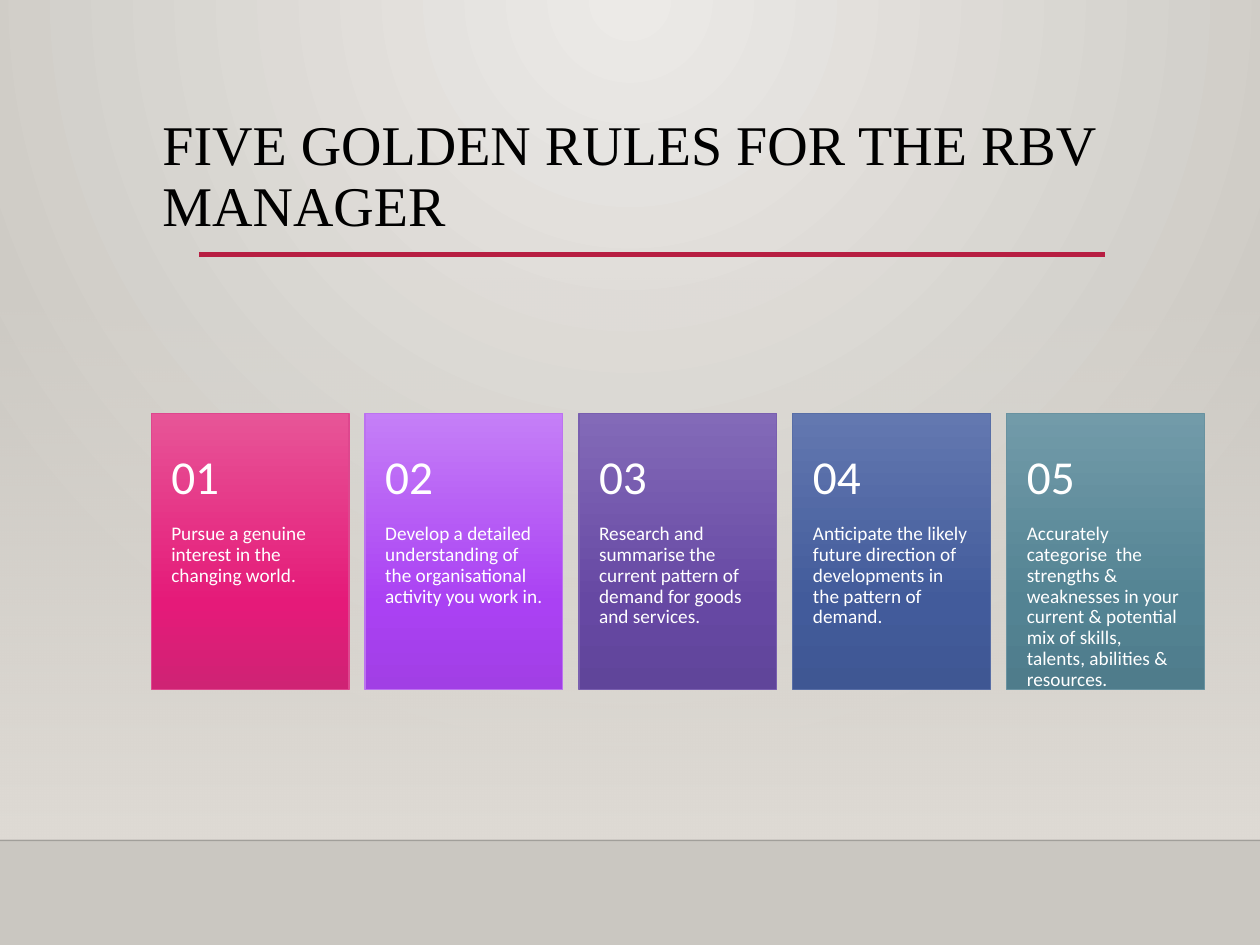
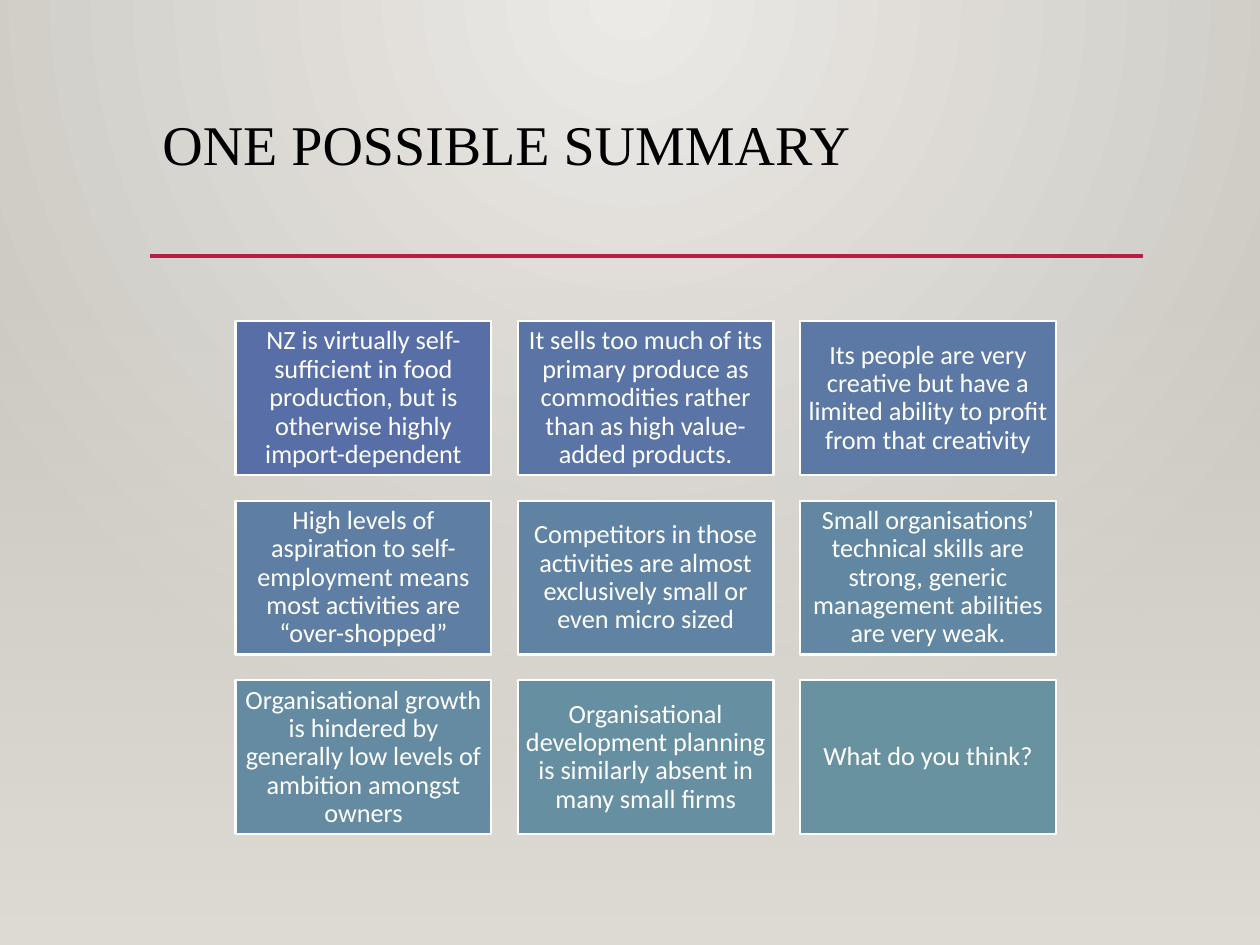
import dataclasses

import pptx
import pptx.dml.color
import pptx.enum.shapes
import pptx.enum.text
import pptx.oxml
import pptx.oxml.ns
import pptx.util
from pptx.util import Inches

ANCHOR = pptx.enum.text.MSO_ANCHOR
ALIGN = pptx.enum.text.PP_ALIGN


@dataclasses.dataclass(frozen=True)
class Theme:
    title_font: str = "Times New Roman"
    body_font: str = "Calibri"
    title_size: float = 32
    numeral_size: float = 27
    rule_size: float = 11
    tile_size: float = 15
    ink: str = "000000"
    white: str = "FFFFFF"
    accent: str = "B71E42"
    floor_line: str = "000001"
    glow: tuple = ((0, "ECEAE7", 100), (100, "CAC7C1", 100))
    fade: tuple = ((0, "DFDBD5", 0), (100, "DFDBD5", 100))


@dataclasses.dataclass(frozen=True)
class Box:
    left: float
    top: float
    width: float
    height: float

    def inches(self):
        return [Inches(v) for v in (self.left, self.top, self.width, self.height)]


THEME = Theme()
PAGE = Box(0, 0, 10, 7.5)
TITLE = Box(1.19, 0.88, 7.88, 1.15)

# Rule text, gradient colours from top to bottom, outline
RULES = [
    ("Pursue a genuine interest in the changing world.",
     ("E75597", "E51A79", "CF2374"), "DE478E"),
    ("Develop a detailed understanding of the organisational activity you work in.",
     ("C57FF7", "AA41F3", "A13FE5"), "BC72F0"),
    ("Research and summarise the current pattern of demand for goods and services.",
     ("836AB8", "6648A3", "60459A"), "795FAF"),
    ("Anticipate the likely future direction of developments in the pattern of demand.",
     ("6378B0", "425B9B", "3F5793"), "586EA6"),
    ("Accurately categorise  the strengths & weaknesses in your current & potential "
     "mix of skills, talents, abilities & resources.",
     ("729BA9", "538393", "4F7C8B"), "6892A0"),
]

SUMMARY = [
    ("NZ is virtually self-sufficient in food production, but is otherwise highly "
     "import-dependent", "586EA6"),
    ("It sells too much of its primary produce as commodities rather than as high "
     "value-added products.", "5A74A5"),
    ("Its people are very creative but have a limited ability to profit from that "
     "creativity", "5C79A5"),
    ("High levels of aspiration to self-employment means most activities are "
     "“over-shopped”", "5E7EA4"),
    ("Competitors in those activities are almost exclusively small or even micro "
     "sized", "6083A3"),
    ("Small organisations’ technical skills are strong, generic management abilities "
     "are very weak.", "6287A2"),
    ("Organisational growth is hindered by generally low levels of ambition amongst "
     "owners", "648BA2"),
    ("Organisational development planning is similarly absent in many small firms",
     "668FA1"),
    ("What do you think?", "6892A0"),
]


def rgb(code):
    return pptx.dml.color.RGBColor.from_string(code)


def paint_gradient(holder, stops, circular=False):
    """Swap the solid fill inside an XML element for a gradient."""
    if circular:
        direction = ('<a:path path="circle">'
                     '<a:fillToRect l="43000" t="0" r="43000" b="100000"/></a:path>')
    else:
        direction = '<a:lin ang="5400000" scaled="0"/>'
    stop_xml = "".join(
        f'<a:gs pos="{place * 1000}"><a:srgbClr val="{code}">'
        f'<a:alpha val="{opacity * 1000}"/></a:srgbClr></a:gs>'
        for place, code, opacity in stops)
    gradient = pptx.oxml.parse_xml(
        f'<a:gradFill {pptx.oxml.ns.nsdecls("a")} rotWithShape="1">'
        f'<a:gsLst>{stop_xml}</a:gsLst>{direction}</a:gradFill>')
    holder.replace(holder.find(pptx.oxml.ns.qn("a:solidFill")), gradient)


def add_panel(slide, box, fill, outline=None, weight=0.75):
    """Add a rectangle; fill is one colour or a tuple of gradient stops."""
    panel = slide.shapes.add_shape(
        pptx.enum.shapes.MSO_SHAPE.RECTANGLE, *box.inches())
    panel.shadow.inherit = False
    panel.fill.solid()
    if isinstance(fill, str):
        panel.fill.fore_color.rgb = rgb(fill)
    else:
        paint_gradient(panel.element.spPr, fill)
    if outline:
        panel.line.color.rgb = rgb(outline)
        panel.line.width = pptx.util.Pt(weight)
    else:
        panel.line.fill.background()
    return panel


def add_rule_line(slide, left, right, y, color, weight, opacity=100):
    line = slide.shapes.add_connector(
        pptx.enum.shapes.MSO_CONNECTOR.STRAIGHT,
        Inches(left), Inches(y), Inches(right), Inches(y))
    line.line.color.rgb = rgb(color)
    line.line.width = pptx.util.Pt(weight)
    properties = line.element.spPr
    if opacity < 100:
        tint = properties.find(".//" + pptx.oxml.ns.qn("a:srgbClr"))
        pptx.oxml.ns.qn("a:alpha")
        tint.append(pptx.oxml.parse_xml(
            f'<a:alpha {pptx.oxml.ns.nsdecls("a")} val="{opacity * 1000}"/>'))
    properties.append(pptx.oxml.parse_xml(
        f'<a:effectLst {pptx.oxml.ns.nsdecls("a")}/>'))


def write(shape, text, size, font=THEME.body_font, color=THEME.white,
          insets=(0.1, 0.05, 0.1, 0.05), anchor=ANCHOR.TOP, align=ALIGN.LEFT):
    frame = shape.text_frame
    frame.word_wrap = True
    frame.vertical_anchor = anchor
    (frame.margin_left, frame.margin_top,
     frame.margin_right, frame.margin_bottom) = [Inches(v) for v in insets]
    paragraph = frame.paragraphs[0]
    paragraph.alignment = align
    paragraph.line_spacing = 0.9
    run = paragraph.add_run()
    run.text = text
    run.font.size = pptx.util.Pt(size)
    run.font.name = font
    run.font.color.rgb = rgb(color)


def add_text(slide, box, text, size, **style):
    write(slide.shapes.add_textbox(*box.inches()), text, size, **style)


def start_slide(deck, title, fade, underline):
    """Add a slide with the glowing backdrop, lower fade, title and underline."""
    slide = deck.slides.add_slide(deck.slide_layouts[6])
    slide.background.fill.solid()
    backdrop = slide.element.find(".//" + pptx.oxml.ns.qn("p:bgPr"))
    paint_gradient(backdrop, THEME.glow, circular=True)
    add_panel(slide, fade, THEME.fade)
    add_rule_line(slide, *underline, THEME.accent, 2.5)
    add_text(slide, TITLE, title, THEME.title_size,
             font=THEME.title_font, color=THEME.ink)
    return slide


def add_rule_card(slide, box, number, text, colors, outline):
    stops = tuple((place, code, 100) for place, code in zip((0, 69, 100), colors))
    add_panel(slide, box, stops, outline)
    add_text(slide, Box(box.left, box.top + 0.88, box.width, box.height - 0.88),
             text, THEME.rule_size, insets=(0.16, 0, 0.16, 0.36))
    add_text(slide, Box(box.left, box.top + 0.15, box.width, 0.75),
             f"{number:02d}", THEME.numeral_size,
             insets=(0.16, 0.18, 0.16, 0.18), anchor=ANCHOR.MIDDLE)


def add_rule_cards(slide, area, card_width=1.57):
    pitch = (area.width - card_width) / (len(RULES) - 1)
    for index, rule in enumerate(RULES):
        card = Box(area.left + index * pitch, area.top, card_width, area.height)
        add_rule_card(slide, card, index + 1, *rule)


def add_summary_grid(slide, area, columns=3, tile_width=2.03, tile_height=1.22):
    rows = len(SUMMARY) // columns
    across = (area.width - tile_width) / (columns - 1)
    down = (area.height - tile_height) / (rows - 1)
    for index, (text, fill) in enumerate(SUMMARY):
        row, column = divmod(index, columns)
        place = Box(area.left + column * across, area.top + row * down,
                    tile_width, tile_height)
        tile = add_panel(slide, place, fill, THEME.white, 1.25)
        write(tile, text, THEME.tile_size, insets=(0.06,) * 4,
              anchor=ANCHOR.MIDDLE, align=ALIGN.CENTER)


def build_rules_slide(deck):
    slide = start_slide(deck, "FIVE GOLDEN RULES FOR THE RBV MANAGER",
                        fade=Box(0, 2.2, PAGE.width, 4.46),
                        underline=(1.58, 8.77, 2.02))
    add_rule_line(slide, 0, PAGE.width, 6.67, THEME.floor_line, 1, opacity=20)
    add_rule_cards(slide, Box(1.2, 3.28, 8.36, 2.19))


def build_summary_slide(deck):
    slide = start_slide(deck, "ONE POSSIBLE SUMMARY",
                        fade=Box(0, 2.21, PAGE.width, 5.29),
                        underline=(TITLE.left, TITLE.left + TITLE.width, 2.03))
    add_summary_grid(slide, Box(1.87, 2.55, 6.51, 4.07))


def main():
    deck = pptx.Presentation()
    deck.slide_width = Inches(PAGE.width)
    deck.slide_height = Inches(PAGE.height)
    build_rules_slide(deck)
    build_summary_slide(deck)
    deck.save("out.pptx")


if __name__ == "__main__":
    main()
